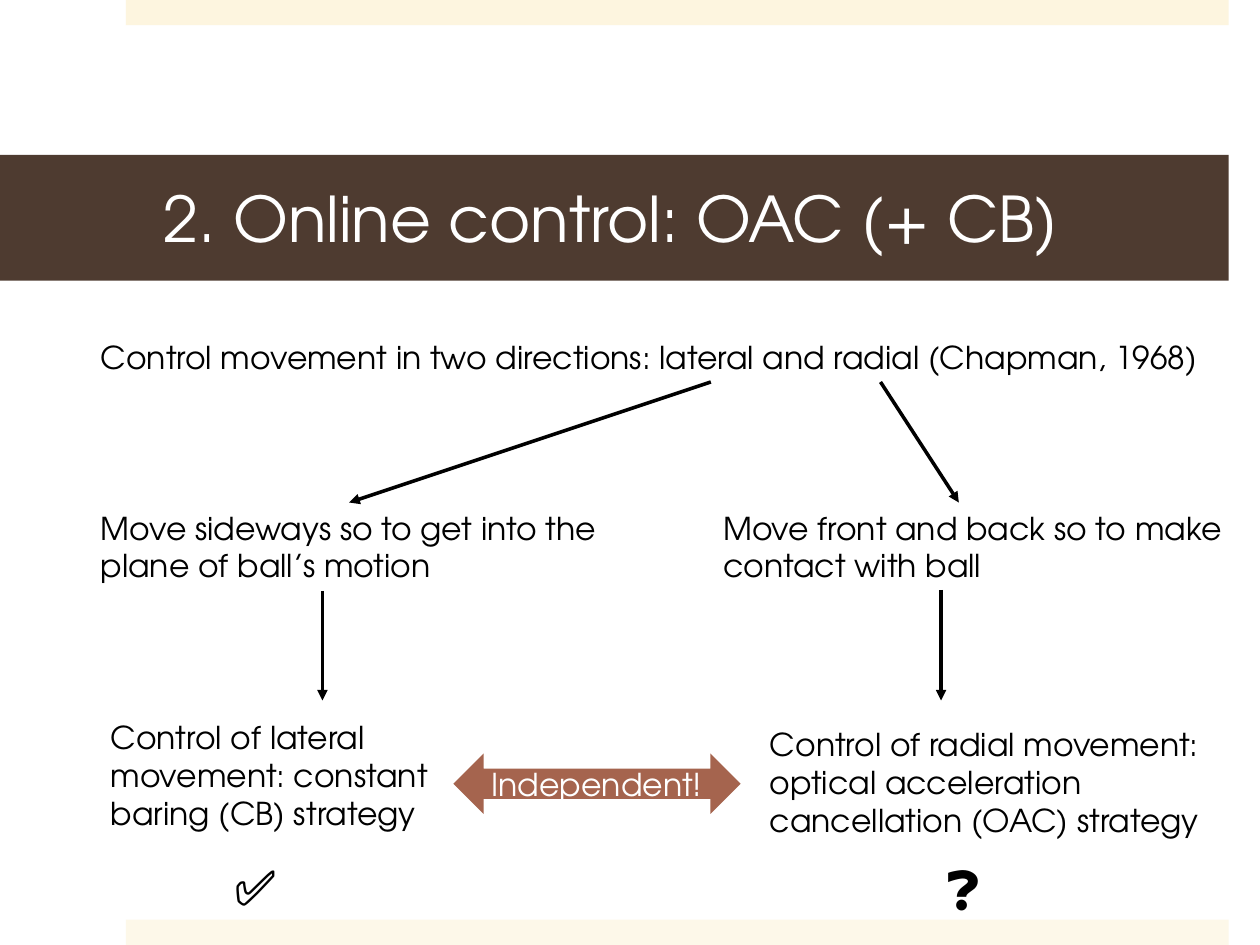
from pptx import Presentation
from pptx import util as u
from pptx.dml.color import RGBColor
from pptx.enum import shapes, text
from pptx.oxml.ns import qn
from lxml import etree

BLACK = RGBColor(0x00, 0x00, 0x00)
WHITE = RGBColor(0xFF, 0xFF, 0xFF)
BROWN = RGBColor(0x4E, 0x3B, 0x30)
RUST = RGBColor(0xA5, 0x64, 0x4E)
CREAM = RGBColor(0xFD, 0xF5, 0xDF)
PALE_CREAM = RGBColor(0xFD, 0xF8, 0xE9)
FONT = "TeX Gyre Adventor"


def write(frame, words, size, color, alignment):
    frame.text = words
    paragraph = frame.paragraphs[0]
    paragraph.alignment = alignment
    paragraph.font.name = FONT
    paragraph.font.size = u.Pt(size)
    paragraph.font.color.rgb = color


def add_filled(kind, left, top, width, height, color):
    shape = slide.shapes.add_shape(kind, u.Cm(left), u.Cm(top), u.Cm(width), u.Cm(height))
    shape.shadow.inherit = False
    shape.fill.solid()
    shape.fill.fore_color.rgb = color
    shape.line.fill.background()
    return shape


presentation = Presentation()
presentation.slide_width = u.Cm(25.4)
presentation.slide_height = u.Cm(19.05)
slide = presentation.slides.add_slide(presentation.slide_layouts[5])

for top, color in ((0, CREAM), (18.54, PALE_CREAM)):
    add_filled(shapes.MSO_SHAPE.RECTANGLE, 2.54, top, 22.23, 0.51, color)

title = slide.shapes.title
title.left, title.top, title.width, title.height = u.Cm(0), u.Cm(3.12), u.Cm(24.77), u.Cm(2.54)
title.fill.solid()
title.fill.fore_color.rgb = BROWN
frame = title.text_frame
frame.auto_size = text.MSO_AUTO_SIZE.NONE
frame.vertical_anchor = text.MSO_ANCHOR.MIDDLE
frame.margin_left, frame.margin_right = u.Cm(3.3), u.Cm(0.76)
write(frame, "2. Online control: OAC (+ CB)", 36, WHITE, text.PP_ALIGN.LEFT)

labels = [
    ("Control movement in two directions: lateral and radial (Chapman, 1968)",
     1.78, 6.68, 22.99, 1.02, 18, False),
    ("Move sideways so to get into the plane of ball’s motion",
     1.78, 10.13, 12.19, 1.8, 18, True),
    ("Move front and back so to make contact with ball",
     14.33, 10.13, 12.19, 1.8, 18, True),
    ("Control of lateral movement: constant baring (CB) strategy",
     1.98, 14.35, 8.53, 2.57, 18, True),
    ("Control of radial movement: optical acceleration cancellation (OAC) strategy",
     15.27, 14.5, 9.98, 2.57, 18, True),
    ("✅", 4.47, 17.15, 1.5, 1.45, 28, False),
    ("❓", 18.82, 17.15, 1.5, 1.45, 28, False),
]
for words, left, top, width, height, size, wrap in labels:
    box = slide.shapes.add_textbox(u.Cm(left), u.Cm(top), u.Cm(width), u.Cm(height))
    box.text_frame.word_wrap = wrap
    box.text_frame.auto_size = text.MSO_AUTO_SIZE.SHAPE_TO_FIT_TEXT
    write(box.text_frame, words, size, BLACK, text.PP_ALIGN.LEFT)

arrows = [
    (14.33, 7.7, 7.04, 10.13),
    (17.75, 7.7, 19.33, 10.13),
    (6.5, 11.91, 6.5, 14.12),
    (18.97, 11.89, 18.97, 14.12),
]
for points in arrows:
    arrow = slide.shapes.add_connector(shapes.MSO_CONNECTOR.STRAIGHT, *map(u.Cm, points))
    arrow.line.color.rgb = BLACK
    arrow.line.width = u.Pt(2)
    etree.SubElement(arrow.line._get_or_add_ln(), qn("a:tailEnd"), type="triangle")
    etree.SubElement(arrow._element.spPr, qn("a:effectLst"))

independent = add_filled(shapes.MSO_SHAPE.LEFT_RIGHT_ARROW, 9.14, 15.19, 5.79, 1.22, RUST)
independent.text_frame.vertical_anchor = text.MSO_ANCHOR.MIDDLE
write(independent.text_frame, "Independent!", 18, WHITE, text.PP_ALIGN.CENTER)

presentation.save("out.pptx")
